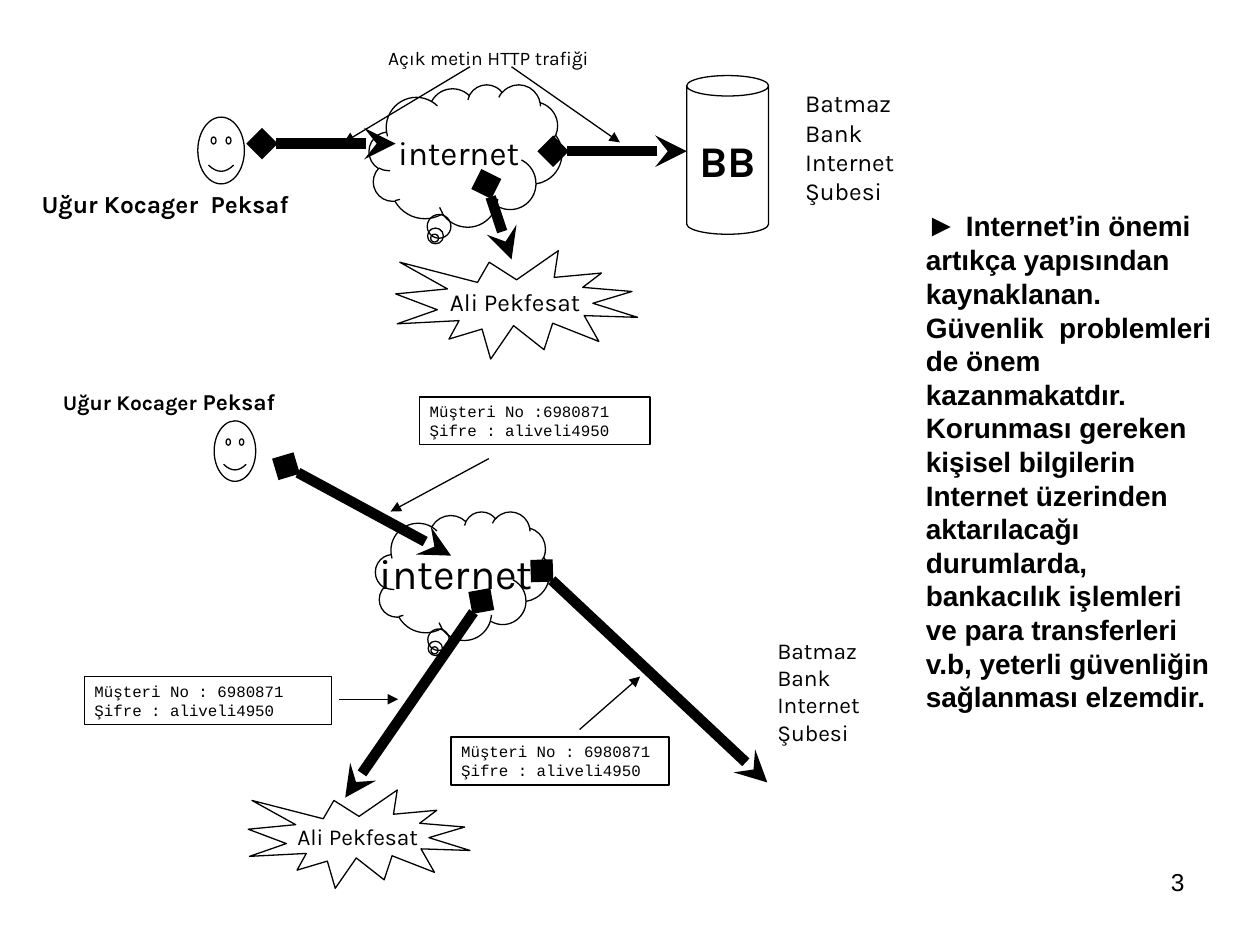
import pptx
import pptx.dml.color
import pptx.enum.shapes
import pptx.enum.text
import pptx.oxml
import pptx.oxml.ns
import pptx.util

Inches = pptx.util.Inches
Pt = pptx.util.Pt
Shape = pptx.enum.shapes.MSO_SHAPE
Align = pptx.enum.text.PP_ALIGN
Anchor = pptx.enum.text.MSO_ANCHOR
Fit = pptx.enum.text.MSO_AUTO_SIZE

BLACK = pptx.dml.color.RGBColor(0, 0, 0)
SANS, MONO, BODY = "Karla", "Courier New", "Arial"
THIN, THICK = 0.75, 6
PAD, WIDE = (0.08, 0.04), (0.1, 0.05)
BANK = ["Batmaz Bank", "Internet Şubesi"]
CODE = "Şifre : aliveli4950"
ADVICE = ("Internet’in önemi artıkça yapısından kaynaklanan. Güvenlik  problemleri "
          "de önem kazanmakatdır.  Korunması gereken kişisel bilgilerin Internet "
          "üzerinden aktarılacağı durumlarda, bankacılık işlemleri ve para "
          "transferleri v.b, yeterli güvenliğin sağlanması elzemdir.")


def write(shape, lines, size, font=SANS, bold=False, align=Align.LEFT, pad=PAD):
    """Fill a shape with lines; a line is a string or a list of (text, size) runs."""
    frame = shape.text_frame
    frame.margin_left = frame.margin_right = Inches(pad[0])
    frame.margin_top = frame.margin_bottom = Inches(pad[1])
    frame.vertical_anchor = Anchor.TOP
    frame.word_wrap = True
    for num, line in enumerate(lines):
        para = frame.add_paragraph() if num else frame.paragraphs[0]
        para.alignment = align
        para.font.name = font
        para.font.size = Pt(size)
        para.font.bold = bold
        para.font.color.rgb = BLACK
        if isinstance(line, str):
            para.add_run().text = line
        else:
            for text, points in line:
                run = para.add_run()
                run.text = text
                run.font.size = Pt(points)
    return frame


def add_text(shapes, place, lines, size, grow=True, **style):
    """Add a wrapping text box."""
    box = shapes.add_textbox(*map(Inches, place))
    frame = write(box, lines, size, **style)
    if grow:
        frame.auto_size = Fit.SHAPE_TO_FIT_TEXT


def add_form(shapes, kind, place, adjust=()):
    """Add an unfilled preset shape with a thin outline."""
    form = shapes.add_shape(kind, *map(Inches, place))
    form.shadow.inherit = False
    form.fill.background()
    form.line.color.rgb = BLACK
    form.line.width = Pt(THIN)
    for num, value in enumerate(adjust):
        form.adjustments[num] = value
    return form


def add_label(shapes, kind, place, text, size, bold=False, adjust=()):
    """Add a preset shape with one centred, unwrapped line of text."""
    form = add_form(shapes, kind, place, adjust)
    frame = write(form, [text], size, bold=bold, align=Align.CENTER)
    frame.vertical_anchor = Anchor.MIDDLE
    frame.word_wrap = False


def add_note(shapes, place, client):
    """Add a framed box with the sniffed login data."""
    form = add_form(shapes, Shape.RECTANGLE, place)
    frame = write(form, [client, CODE], 9, font=MONO)
    frame.auto_size = Fit.SHAPE_TO_FIT_TEXT


def add_arrow(shapes, start, end, width=THIN, head=None, tail="triangle"):
    """Add a straight arrow from start to end."""
    kind = pptx.enum.shapes.MSO_CONNECTOR.STRAIGHT
    arrow = shapes.add_connector(kind, *map(Inches, start + end))
    arrow.line.color.rgb = BLACK
    arrow.line.width = Pt(width)
    line = arrow.line._get_or_add_ln()
    for tag, style in (("a:headEnd", head), ("a:tailEnd", tail)):
        if style:
            pptx.oxml.ns.qn(tag)
            mark = line.makeelement(pptx.oxml.ns.qn(tag), {"type": style})
            line.append(mark)
    props = arrow._element.spPr
    props.append(props.makeelement(pptx.oxml.ns.qn("a:effectLst"), {}))


def add_flow(shapes, start, end):
    """Add a thick traffic arrow."""
    add_arrow(shapes, start, end, THICK, "diamond", "stealth")


def add_cast(shapes, seal, cloud, smile, sizes):
    """Add the attacker, the internet cloud and the customer."""
    add_label(shapes, Shape.EXPLOSION1, seal, "Ali Pekfesat", sizes[0])
    add_label(shapes, Shape.CLOUD_CALLOUT, cloud, "internet", sizes[1],
              adjust=(-0.16, 0.58))
    add_form(shapes, Shape.SMILEY_FACE, smile, (0.09,))


def draw_plain(shapes):
    """Draw the upper scene with clear text traffic."""
    add_cast(shapes, (3.14, 1.99, 1.92, 0.86), (2.93, 0.67, 1.53, 1.13),
             (1.57, 0.93, 0.37, 0.53), (14, 19))
    add_label(shapes, Shape.CAN, (5.45, 0.6, 0.65, 1.26), "BB", 25, True, (0.25,))
    add_text(shapes, (6.31, 0.66, 0.93, 1.01), BANK, 14)
    add_text(shapes, (0.25, 1.46, 2.42, 0.31), ["Uğur Kocager  Peksaf"], 14, bold=True)
    add_flow(shapes, (2.08, 1.14), (3.14, 1.14))
    add_flow(shapes, (4.39, 1.2), (5.45, 1.2))
    add_flow(shapes, (3.86, 1.46), (4.06, 2.06))
    add_text(shapes, (3, 0.33, 1.86, 0.26), ["Açık metin HTTP trafiği"], 11)
    add_arrow(shapes, (3.73, 0.53), (2.73, 1.13))
    add_arrow(shapes, (4.06, 0.53), (4.92, 1.13))


def draw_theft(shapes):
    """Draw the lower scene with the login data seen on each path."""
    add_cast(shapes, (1.97, 6.27, 1.76, 0.78), (2.98, 4.06, 1.38, 1.02),
             (1.7, 3.34, 0.33, 0.48), (13, 24))
    add_text(shapes, (6.09, 5.01, 0.84, 0.94), BANK, 13)
    add_text(shapes, (0.42, 3.04, 2.27, 0.29),
             [[("Uğur Kocager", 12), (" Peksaf", 13)]], 12, bold=True)
    add_flow(shapes, (2.27, 3.7), (3.58, 4.41))
    add_flow(shapes, (4.3, 4.53), (6.09, 6.21))
    add_flow(shapes, (3.82, 4.77), (2.74, 6.33))
    add_note(shapes, (3.33, 3.15, 1.83, 0.38), "Müşteri No :6980871")
    add_note(shapes, (3.58, 5.85, 1.73, 0.38), "Müşteri No : 6980871")
    add_note(shapes, (0.67, 5.37, 1.96, 0.38), "Müşteri No : 6980871")
    add_arrow(shapes, (3.88, 3.64), (3.1, 4.06))
    add_arrow(shapes, (2.69, 5.55), (3.16, 5.55))
    add_arrow(shapes, (4.6, 5.79), (5.08, 5.37))


def main():
    """Build the slide and save it."""
    deck = pptx.Presentation()
    deck.slide_width, deck.slide_height = Inches(10), Inches(7.5)
    shapes = deck.slides.add_slide(deck.slide_layouts[6]).shapes
    add_text(shapes, (7.17, 6.83, 2.33, 0.52), ["3"], 14, grow=False, font=BODY,
             align=Align.RIGHT, pad=WIDE)
    draw_plain(shapes.add_group_shape().shapes)
    draw_theft(shapes.add_group_shape().shapes)
    add_text(shapes, (7.25, 1.58, 2.5, 4.13), [[("► ", 18), (ADVICE, 16)]], 16,
             font=BODY, bold=True, pad=WIDE)
    deck.save("out.pptx")


if __name__ == "__main__":
    main()
